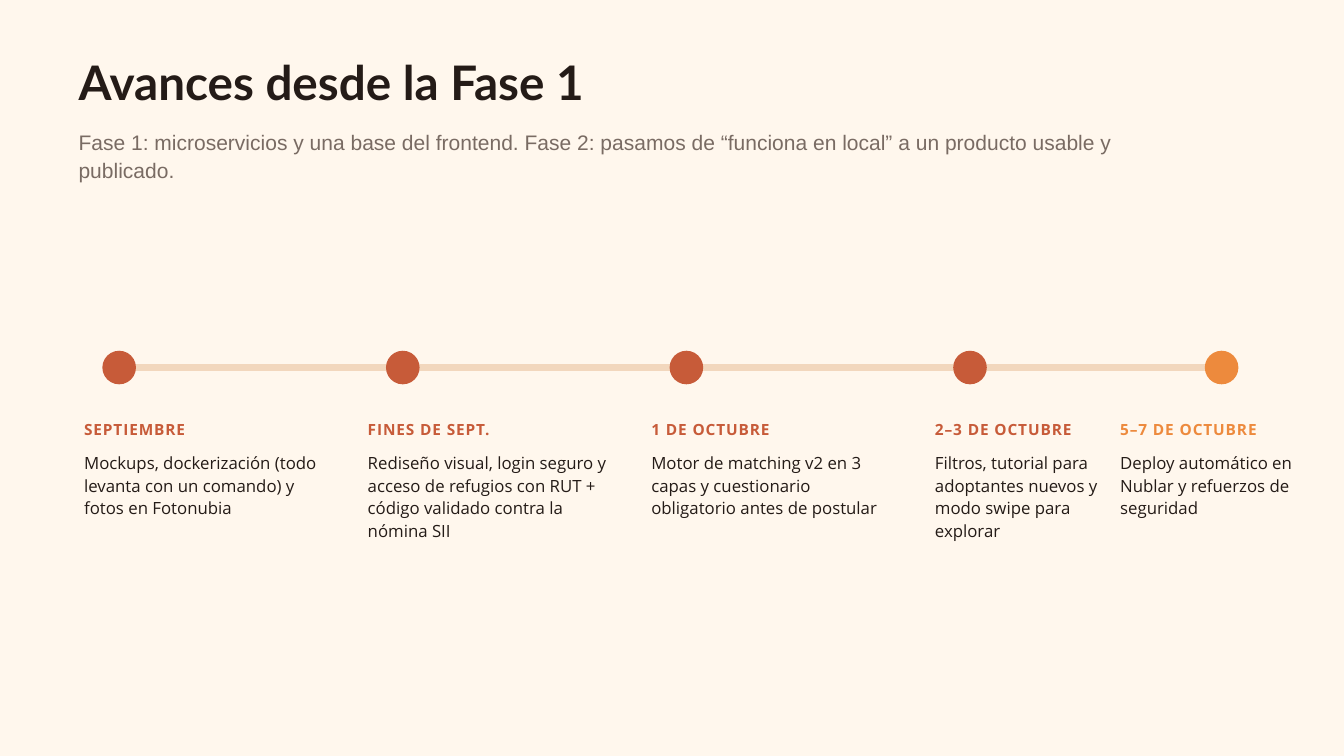
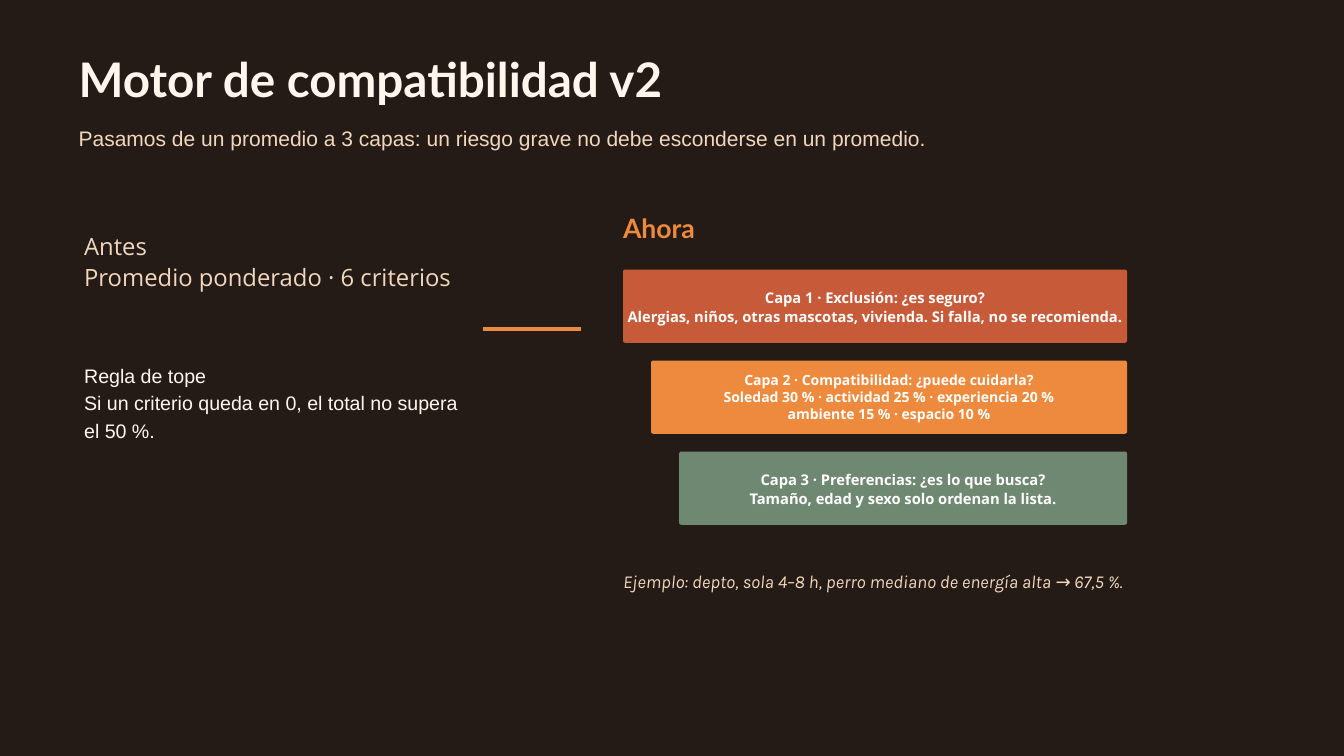
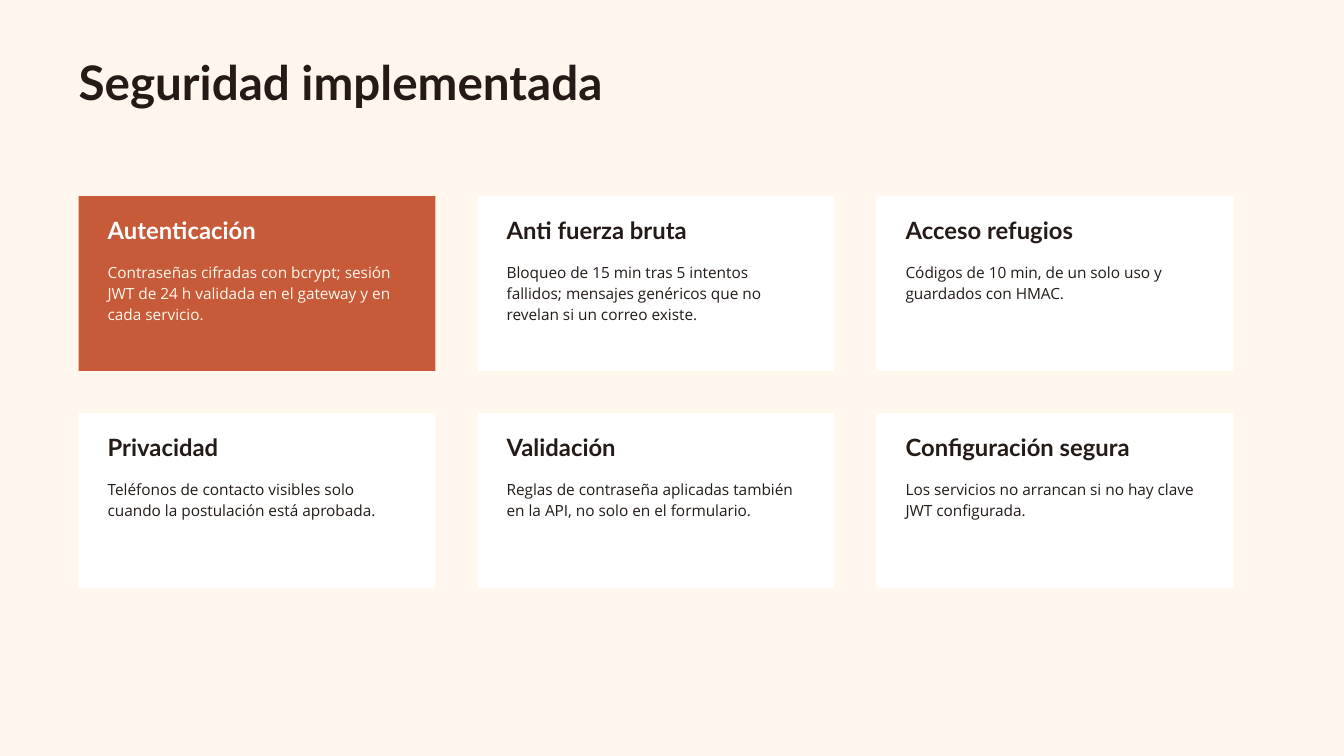
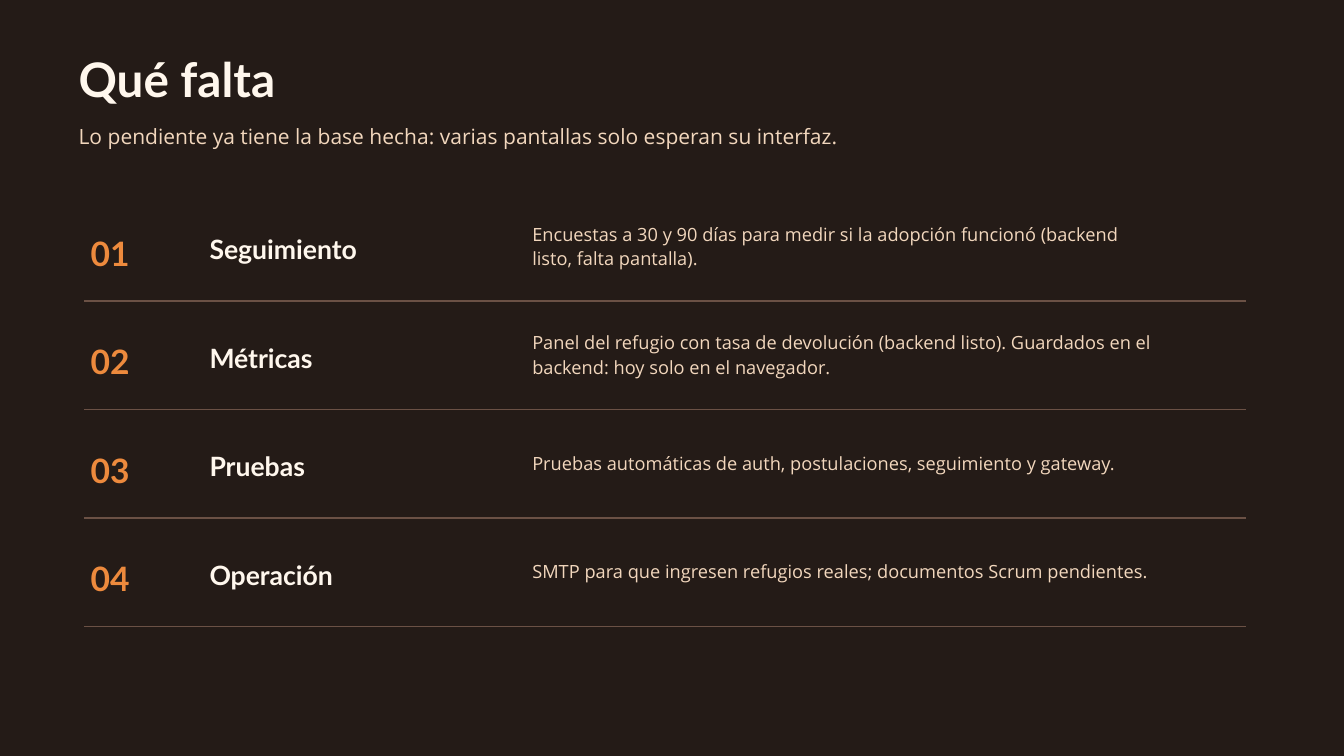
from lxml import etree
from pptx import Presentation
from pptx.dml.color import RGBColor
from pptx.enum.shapes import MSO_CONNECTOR, MSO_SHAPE
from pptx.enum.text import MSO_ANCHOR, MSO_AUTO_SIZE, PP_ALIGN
from pptx.oxml.ns import qn
from pptx.util import Cm, Pt

STRAIGHT = MSO_CONNECTOR.STRAIGHT
RECT, ROUND, OVAL = MSO_SHAPE.RECTANGLE, MSO_SHAPE.ROUNDED_RECTANGLE, MSO_SHAPE.OVAL
MIDDLE, GROW = MSO_ANCHOR.MIDDLE, MSO_AUTO_SIZE.SHAPE_TO_FIT_TEXT
LEFT, CENTER = PP_ALIGN.LEFT, PP_ALIGN.CENTER

COLORS = {
    "cream": "FFF7ED", "dark": "241B17", "rust": "C75B39", "orange": "ED8A3D",
    "sand": "F2D7BD", "gray": "796B63", "green": "6F8871", "brown": "6B5145",
    "white": "FFFFFF",
}
# font, size, line spacing, bold, italic
STYLES = {
    "title": ("Lato", 51, 52.5, True, False),
    "lead": ("Arial", 22.5, 30.4, False, False),
    "lead open": ("Open Sans", 22.5, 30.4, False, False),
    "date": ("Open Sans", 16.5, 23.1, True, False),
    "event": ("Open Sans", 18, 24.3, False, False),
    "before": ("Open Sans", 25.5, 33.1, False, False),
    "head": ("Lato", 28.5, 39.9, True, False),
    "rule": ("Arial", 21, 29.4, False, False),
    "layer": ("Open Sans", 15.75, 20.5, True, False),
    "layer small": ("Open Sans", 15, 18, True, False),
    "note": ("Karla", 19.5, 26.3, False, True),
    "card": ("Lato", 25.5, 35.7, True, False),
    "body": ("Open Sans", 16.5, 22.3, False, False),
    "number": ("Lato", 36, 50.4, True, False),
    "task": ("Open Sans", 19.5, 26.3, False, False),
}
EDGE, INDENT = 2.97, 3.18


def color(name):
    """Return the palette colour called name."""
    return RGBColor.from_string(COLORS[name])


def write(frame, lines, style, ink, align=LEFT):
    """Fill a text frame with one paragraph per line."""
    face, size, gap, bold, italic = STYLES[style]
    frame.word_wrap = True
    frame.margin_left = frame.margin_right = 0
    frame.margin_top = frame.margin_bottom = 0
    for i, line in enumerate(lines):
        para = frame.add_paragraph() if i else frame.paragraphs[0]
        para.text = line
        para.alignment = align
        para.line_spacing = Pt(gap)
        font = para.font
        font.name, font.size = face, Pt(size)
        font.bold, font.italic = bold, italic
        font.color.rgb = color(ink)


def add_text(slide, x, y, wide, high, lines, style, ink):
    """Add a text box and return its frame."""
    box = slide.shapes.add_textbox(Cm(x), Cm(y), Cm(wide), Cm(high))
    write(box.text_frame, lines, style, ink)
    box.text_frame.auto_size = GROW
    return box.text_frame


def add_block(slide, kind, x, y, wide, high, fill):
    """Add a flat shape without outline."""
    block = slide.shapes.add_shape(kind, Cm(x), Cm(y), Cm(wide), Cm(high))
    block.shadow.inherit = False
    block.fill.solid()
    block.fill.fore_color.rgb = color(fill)
    block.line.fill.background()
    return block


def add_rule(slide, start, end, y, ink, weight):
    """Add a horizontal line."""
    rule = slide.shapes.add_connector(STRAIGHT, Cm(start), Cm(y), Cm(end), Cm(y))
    rule.line.color.rgb = color(ink)
    rule.line.width = Pt(weight)
    etree.SubElement(rule._element.spPr, qn("a:effectLst"))


def add_slide(deck, title, dark, wide):
    """Add a slide with its background and title."""
    slide = deck.slides.add_slide(deck.slide_layouts[6])
    fill = slide.background.fill
    fill.solid()
    fill.fore_color.rgb = color("dark" if dark else "cream")
    add_text(slide, EDGE, 2.18 if dark else 2.29, wide, 1.96, [title],
             "title", "cream" if dark else "dark")
    return slide


def add_lead(slide, y, high, text, style, ink):
    """Add the sentence under the title."""
    add_text(slide, EDGE, y, 39.68, high, [text], style, ink)


def add_event(slide, x, dot, ink, date, text, wide, high):
    """Add a timeline stop with its date and text."""
    add_block(slide, OVAL, dot, 13.26, 1.27, 1.27, ink)
    frame = add_text(slide, x, 15.77, 5.82, 0.79, [date], "date", ink)
    frame.paragraphs[0].runs[0]._r.get_or_add_rPr().set("spc", "100")
    add_text(slide, x, 17.02, wide, high, [text], "event", "dark")


def add_layer(slide, i, fill, style, lines):
    """Add one layer, narrower than the one above."""
    x = 23.55 + 1.06 * i
    block = add_block(slide, ROUND, x, 10.19 + 3.44 * i, 42.6 - x, 2.77, fill)
    block.adjustments[0] = 0.03
    write(block.text_frame, lines, style, "white", CENTER)
    block.text_frame.vertical_anchor = MIDDLE


def add_card(slide, i, title, text, high):
    """Add a card in a grid of three columns; the first stands out."""
    row, col = divmod(i, 3)
    x, y = EDGE + 15.08 * col, 7.42 + 8.2 * row
    fill, head, ink = ("white", "dark", "dark") if i else ("rust", "white", "cream")
    add_block(slide, RECT, x, y, 13.49, 6.6, fill)
    add_text(slide, x + 1.1, y + 0.56, 11.13, 1.17, [title], "card", head)
    add_text(slide, x + 1.1, y + 2.44, 11.13, high, [text], "body", ink)


def add_task(slide, i, name, text, high):
    """Add a numbered row above its rule."""
    y = 11.38 + 4.1 * i
    add_rule(slide, INDENT, 47.09, y, "brown", 1.5)
    add_text(slide, 3.43, y - 2.84, 2.64, 1.7, [f"{i + 1:02}"], "number", "orange")
    add_text(slide, 7.92, y - 2.77, 9.53, 1.35, [name], "head", "cream")
    add_text(slide, 20.12, y - 2.12 - high / 2, 23.83, high, [text], "task", "sand")


def build_time(deck):
    """Build the timeline slide."""
    slide = add_slide(deck, "Avances desde la Fase 1", False, 34.39)
    add_lead(slide, 4.78, 2.13,
             "Fase 1: microservicios y una base del frontend. Fase 2: pasamos de "
             "“funciona en local” a un producto usable y publicado.", "lead", "gray")
    add_rule(slide, 4.5, 46.18, 13.89, "sand", 7.5)
    events = [
        ("SEPTIEMBRE", "Mockups, dockerización (todo levanta con un comando) y "
         "fotos en Fotonubia", 9.27, 2.49),
        ("FINES DE SEPT.", "Rediseño visual, login seguro y acceso de refugios con "
         "RUT + código validado contra la nómina SII", 9.27, 3.35),
        ("1 DE OCTUBRE", "Motor de matching v2 en 3 capas y cuestionario "
         "obligatorio antes de postular", 9.27, 2.49),
        ("2–3 DE OCTUBRE", "Filtros, tutorial para adoptantes nuevos y modo swipe "
         "para explorar", 6.35, 3.35),
    ]
    for i, event in enumerate(events):
        x = INDENT + 10.72 * i
        add_event(slide, x, x + 0.69, "rust", *event)
    add_event(slide, 42.34, 45.54, "orange", "5–7 DE OCTUBRE",
              "Deploy automático en Nublar y refuerzos de seguridad", 7.14, 2.49)


def build_match(deck):
    """Build the matching engine slide."""
    slide = add_slide(deck, "Motor de compatibilidad v2", True, 35.71)
    add_lead(slide, 4.62, 1.07,
             "Pasamos de un promedio a 3 capas: un riesgo grave no debe esconderse "
             "en un promedio.", "lead", "sand")
    add_text(slide, INDENT, 8.66, 14.81, 2.31,
             ["Antes", "Promedio ponderado · 6 criterios"], "before", "sand")
    add_text(slide, INDENT, 13.61, 14.27, 3.07,
             ["Regla de tope", "Si un criterio queda en 0, el total no supera el 50 %."],
             "rule", "cream")
    add_rule(slide, 18.26, 21.97, 12.45, "orange", 4.5)
    add_text(slide, 23.55, 7.8, 7.92, 1.35, ["Ahora"], "head", "orange")
    layers = [
        ("rust", "layer", ["Capa 1 · Exclusión: ¿es seguro?",
         "Alergias, niños, otras mascotas, vivienda. Si falla, no se recomienda."]),
        ("orange", "layer small", ["Capa 2 · Compatibilidad: ¿puede cuidarla?",
         "Soledad 30 % · actividad 25 % · experiencia 20 %",
         "ambiente 15 % · espacio 10 %"]),
        ("green", "layer", ["Capa 3 · Preferencias: ¿es lo que busca?",
         "Tamaño, edad y sexo solo ordenan la lista."]),
    ]
    for i, layer in enumerate(layers):
        add_layer(slide, i, *layer)
    add_text(slide, 23.55, 21.46, 23.83, 0.94,
             ["Ejemplo: depto, sola 4–8 h, perro mediano de energía alta → 67,5 %."],
             "note", "sand")


def build_safe(deck):
    """Build the security slide."""
    slide = add_slide(deck, "Seguridad implementada", False, 34.39)
    cards = [
        ("Autenticación", "Contraseñas cifradas con bcrypt; sesión JWT de 24 h "
         "validada en el gateway y en cada servicio.", 2.29),
        ("Anti fuerza bruta", "Bloqueo de 15 min tras 5 intentos fallidos; mensajes "
         "genéricos que no revelan si un correo existe.", 2.29),
        ("Acceso refugios", "Códigos de 10 min, de un solo uso y guardados con HMAC.",
         1.5),
        ("Privacidad", "Teléfonos de contacto visibles solo cuando la postulación "
         "está aprobada.", 1.5),
        ("Validación", "Reglas de contraseña aplicadas también en la API, no solo en "
         "el formulario.", 1.5),
        ("Configuración segura", "Los servicios no arrancan si no hay clave JWT "
         "configurada.", 1.5),
    ]
    for i, card in enumerate(cards):
        add_card(slide, i, *card)


def build_next(deck):
    """Build the pending work slide."""
    slide = add_slide(deck, "Qué falta", True, 21.16)
    add_lead(slide, 4.55, 1.02,
             "Lo pendiente ya tiene la base hecha: varias pantallas solo esperan su "
             "interfaz.", "lead open", "sand")
    tasks = [
        ("Seguimiento", "Encuestas a 30 y 90 días para medir si la adopción funcionó "
         "(backend listo, falta pantalla).", 1.85),
        ("Métricas", "Panel del refugio con tasa de devolución (backend listo). "
         "Guardados en el backend: hoy solo en el navegador.", 1.85),
        ("Pruebas", "Pruebas automáticas de auth, postulaciones, seguimiento y "
         "gateway.", 0.94),
        ("Operación", "SMTP para que ingresen refugios reales; documentos Scrum "
         "pendientes.", 0.94),
    ]
    for i, task in enumerate(tasks):
        add_task(slide, i, *task)


def main():
    """Build and save the deck."""
    deck = Presentation()
    deck.slide_width, deck.slide_height = Cm(50.8), Cm(28.58)
    for build in (build_time, build_match, build_safe, build_next):
        build(deck)
    deck.save("out.pptx")


if __name__ == "__main__":
    main()
